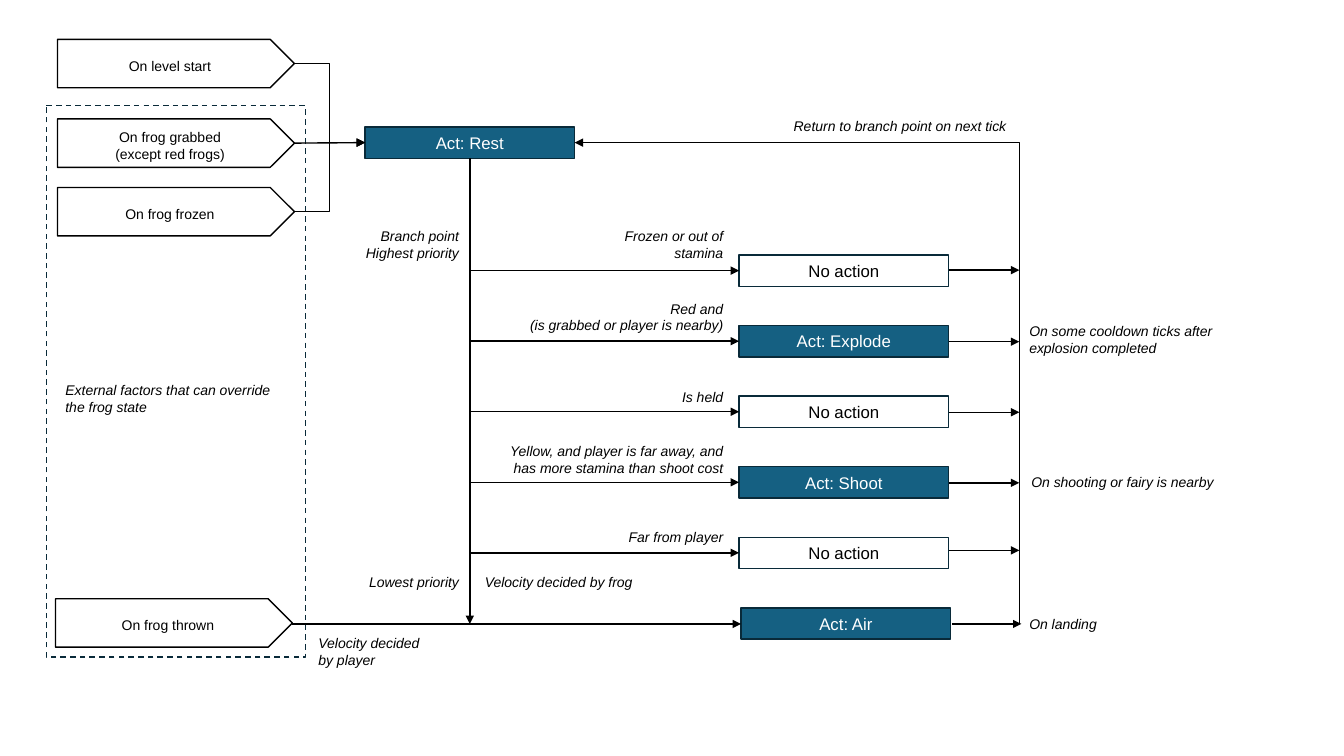
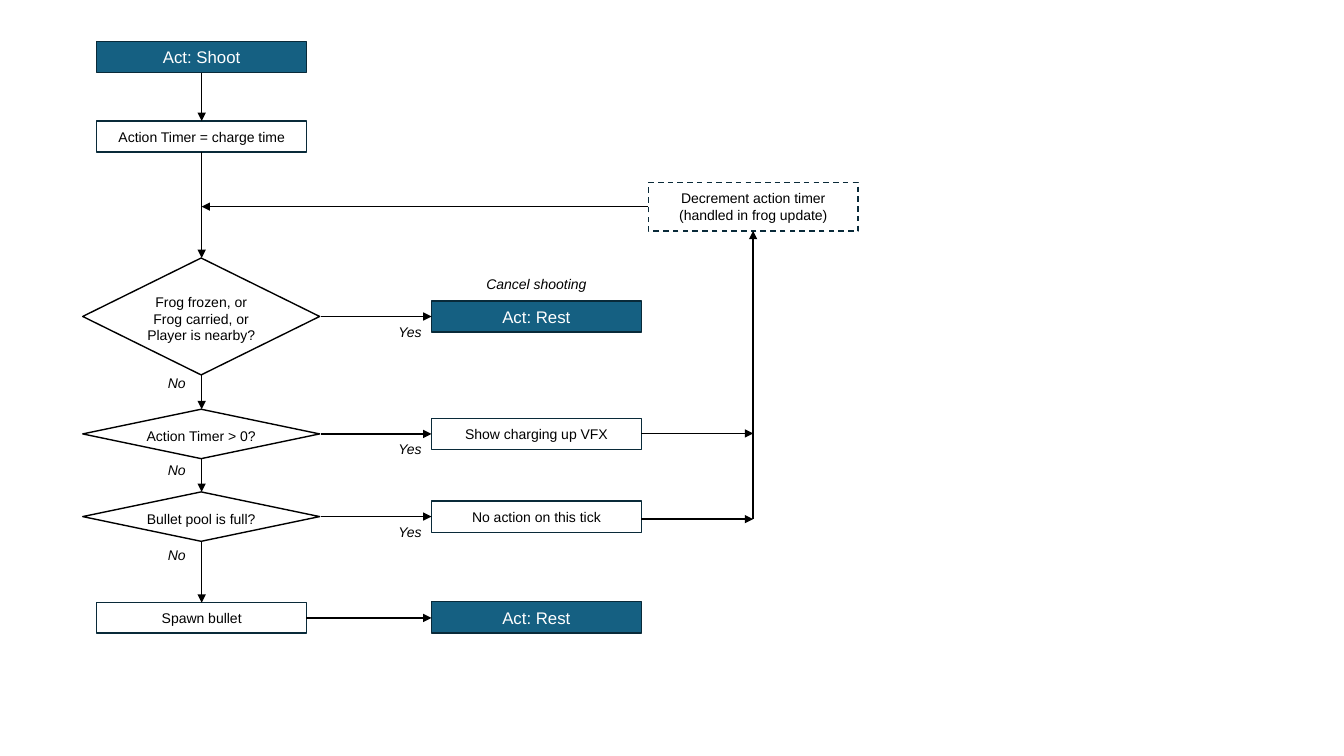
from pptx import Presentation
from pptx.dml.color import RGBColor
from pptx.enum import dml, shapes, text
from pptx.oxml import ns, xmlchemy
from pptx.util import Inches, Pt

COLORS = {"white": "FFFFFF", "black": "000000", "act": "156082", "edge": "092A39"}
FONT = "Arial"
BOX_W, BOX_H = 2.08, 0.31
EVENT_W, EVENT_H = 2.35, 0.48
ONE_LINE, TWO_LINES = 0.27, 0.44

PROCESS = shapes.MSO_SHAPE.FLOWCHART_PROCESS
DECISION = shapes.MSO_SHAPE.FLOWCHART_DECISION
PENTAGON = shapes.MSO_SHAPE.PENTAGON
STRAIGHT, ELBOW = shapes.MSO_CONNECTOR.STRAIGHT, shapes.MSO_CONNECTOR.ELBOW
LEFT, CENTER, RIGHT = text.PP_ALIGN.LEFT, text.PP_ALIGN.CENTER, text.PP_ALIGN.RIGHT
TOP, MIDDLE, BOTTOM = text.MSO_ANCHOR.TOP, text.MSO_ANCHOR.MIDDLE, text.MSO_ANCHOR.BOTTOM
LEFT_SITE, RIGHT_SITE = 1, 3

# Shared looks: preset shape (None is a text box), fill, outline, text
TIGHT = {"margin_left": 0, "margin_right": 0, "margin_top": Inches(0.04), "margin_bottom": 0}
GROW = {"auto_size": text.MSO_AUTO_SIZE.SHAPE_TO_FIT_TEXT}
STYLES = {
    "act": dict(kind=PROCESS, fill="act", edge="edge", size=12, color="white"),
    "idle": dict(kind=PROCESS, fill="white", edge="edge", size=12, color="black"),
    "step": dict(kind=PROCESS, fill="white", edge="edge", size=10, color="black"),
    "dashed": dict(kind=PROCESS, fill="white", edge="edge", size=10, color="black", dash=True),
    "frame": dict(kind=PROCESS, fill=None, edge="edge", size=10, color="black", dash=True),
    "event": dict(kind=PENTAGON, fill="white", edge="black", size=10, color="black", frame=TIGHT),
    "decision": dict(kind=DECISION, fill="white", edge="black", size=10, color="black", frame=TIGHT),
    "label": dict(kind=None, size=10, color="black", frame=GROW),
}


def add_block(slide, style_name, at, words, align=CENTER, anchor=MIDDLE):
    style = STYLES[style_name]
    box = [Inches(value) for value in at]
    if style["kind"] is None:
        shape = slide.shapes.add_textbox(*box)
    else:
        shape = slide.shapes.add_shape(style["kind"], *box)
        shape.shadow.inherit = False
        if style["fill"]:
            shape.fill.solid()
            shape.fill.fore_color.rgb = RGBColor.from_string(COLORS[style["fill"]])
        else:
            shape.fill.background()
        shape.line.color.rgb = RGBColor.from_string(COLORS[style["edge"]])
        shape.line.width = Pt(1)
        if style.get("dash"):
            shape.line.dash_style = dml.MSO_LINE.DASH
    frame = shape.text_frame
    settings = {"word_wrap": True, "vertical_anchor": anchor, **style.get("frame", {})}
    for name, value in settings.items():
        setattr(frame, name, value)
    frame.text = words
    font_format = {"name": FONT, "size": Pt(style["size"]), "italic": style["kind"] is None}
    for paragraph in frame.paragraphs:
        paragraph.alignment = align
        for run in paragraph.runs:
            for name, value in font_format.items():
                setattr(run.font, name, value)
            run.font.color.rgb = RGBColor.from_string(COLORS[style["color"]])
    return shape


def add_arrow(slide, start, end, kind=STRAIGHT, arrowhead="a:tailEnd"):
    points = [Inches(value) for value in (*start, *end)]
    connector = slide.shapes.add_connector(kind, *points)
    connector.line.color.rgb = RGBColor.from_string(COLORS["black"])
    connector.line.width = Pt(1)
    properties = connector.element.spPr
    head = xmlchemy.OxmlElement(arrowhead)
    head.set("type", "triangle")
    properties.find(ns.qn("a:ln")).append(head)
    properties.append(xmlchemy.OxmlElement("a:effectLst"))
    return connector


presentation = Presentation()
presentation.slide_width, presentation.slide_height = Inches(13.33), Inches(7.5)
blank = presentation.slide_layouts[6]

# Slide 1: frog states
slide = presentation.slides.add_slide(blank)
TRUNK_X, RETURN_X = 4.66, 10.11
REST_Y, AIR_Y = 1.42, 6.19
BRANCH_X = 7.33

# Events on the left
add_block(slide, "frame", (0.46, 1.05, 2.57, 5.47), "")
events = [
    add_block(slide, "event", (left, top, EVENT_W, EVENT_H), words)
    for left, top, words in [
        (0.57, 0.39, "On level start"),
        (0.57, 1.18, "On frog grabbed\n(except red frogs)"),
        (0.57, 1.86, "On frog frozen"),
        (0.55, 5.94, "On frog thrown"),
    ]
]
rest = add_block(slide, "act", (3.62, 1.26, BOX_W, BOX_H), "Act: Rest")
for event, kind in zip(events[:3], (ELBOW, STRAIGHT, ELBOW)):
    connector = add_arrow(slide, (2.92, REST_Y), (3.62, REST_Y), kind)
    connector.begin_connect(event, RIGHT_SITE)
    connector.end_connect(rest, LEFT_SITE)

# Branches in order of priority: style, words, height of the exit arrow
branches = [
    ("idle", "No action", 2.68),
    ("act", "Act: Explode", 3.39),
    ("idle", "No action", 4.09),
    ("act", "Act: Shoot", 4.79),
    ("idle", "No action", 5.46),
]
for row, (style_name, words, exit_y) in enumerate(branches):
    top = 2.53 + 0.7 * row
    middle = top + BOX_H / 2
    add_block(slide, style_name, (BRANCH_X, top, BOX_W, BOX_H), words)
    add_arrow(slide, (TRUNK_X, middle), (BRANCH_X, middle))
    add_arrow(slide, (BRANCH_X + BOX_W, exit_y), (RETURN_X, exit_y))

# Air state, trunk and way back
add_block(slide, "act", (7.35, 6.03, BOX_W, BOX_H), "Act: Air")
add_arrow(slide, (2.9, AIR_Y), (7.35, AIR_Y))
add_arrow(slide, (9.44, AIR_Y), (10.13, AIR_Y))
add_arrow(slide, (TRUNK_X, 1.57), (TRUNK_X, AIR_Y))
way_back = add_arrow(slide, (5.7, REST_Y), (RETURN_X, AIR_Y), ELBOW, "a:headEnd")
way_back.begin_connect(rest, RIGHT_SITE)
way_back.element.spPr.find(ns.qn("a:prstGeom")).set("prst", "bentConnector2")

# Conditions and remarks
for left, top, width, height, words, align, anchor in [
    (0.55, 3.74, 2.35, TWO_LINES, "External factors that can override the frog state", LEFT, TOP),
    (2.79, 2.2, 1.86, TWO_LINES, "Branch point\nHighest priority", RIGHT, BOTTOM),
    (5.79, 2.2, 1.48, TWO_LINES, "Frozen or out of stamina", RIGHT, BOTTOM),
    (4.99, 2.92, 2.28, TWO_LINES, "Red and\n(is grabbed or player is nearby)", RIGHT, BOTTOM),
    (5.79, 3.8, 1.48, ONE_LINE, "Is held", RIGHT, BOTTOM),
    (4.91, 4.33, 2.36, TWO_LINES,
     "Yellow, and player is far away, and has more stamina than shoot cost", RIGHT, BOTTOM),
    (5.79, 5.19, 1.48, ONE_LINE, "Far from player", RIGHT, BOTTOM),
    (2.79, 5.64, 1.86, ONE_LINE, "Lowest priority", RIGHT, BOTTOM),
    (4.71, 5.64, 1.75, ONE_LINE, "Velocity decided by frog", LEFT, BOTTOM),
    (3.06, 6.24, 1.23, TWO_LINES, "Velocity decided by player", LEFT, BOTTOM),
    (7.6, 1.11, 2.65, ONE_LINE, "Return to branch point on next tick", CENTER, BOTTOM),
    (10.11, 3.15, 2.28, TWO_LINES, "On some cooldown ticks after explosion completed", LEFT, MIDDLE),
    (10.13, 4.65, 2.28, ONE_LINE, "On shooting or fairy is nearby", LEFT, MIDDLE),
    (10.11, 6.05, 2.28, ONE_LINE, "On landing", LEFT, MIDDLE),
]:
    add_block(slide, "label", (left, top, width, height), words, align, anchor)

# Slide 2: shooting
slide = presentation.slides.add_slide(blank)
FLOW_X, OUTCOME_X, LOOP_X = 2.0, 4.28, 7.47

# Steps in the main column
for style_name, top, height, words in [
    ("act", 0.41, BOX_H, "Act: Shoot"),
    ("step", 1.2, BOX_H, "Action Timer = charge time"),
    ("step", 5.98, 0.3, "Spawn bullet"),
]:
    add_block(slide, style_name, (0.96, top, BOX_W, height), words)
for start_y, end_y in [(0.72, 1.2), (1.51, 2.56)]:
    add_arrow(slide, (FLOW_X, start_y), (FLOW_X, end_y))

# Decisions: top, height, question, outcome style, outcome, top of "No", next top
for top, height, question, style_name, outcome, no_top, next_top in [
    (2.56, 1.16, "Frog frozen, or\nFrog carried, or\nPlayer is nearby?", "act", "Act: Rest", 3.67, 4.06),
    (4.06, 0.49, "Action Timer > 0?", "step", "Show charging up VFX", 4.53, 4.88),
    (4.88, 0.49, "Bullet pool is full?", "step", "No action on this tick", 5.37, 5.98),
]:
    middle = top + height / 2
    add_block(slide, "decision", (0.82, top, EVENT_W, height), question)
    add_block(slide, style_name, (OUTCOME_X, middle - BOX_H / 2, BOX_W, BOX_H), outcome)
    add_arrow(slide, (3.18, middle), (OUTCOME_X, middle))
    add_arrow(slide, (FLOW_X, top + height), (FLOW_X, next_top))
    add_block(slide, "label", (2.42, middle + 0.02, 1.86, ONE_LINE), "Yes", RIGHT, TOP)
    add_block(slide, "label", (0.08, no_top, 1.86, ONE_LINE), "No", RIGHT, TOP)

# End of shooting
add_block(slide, "label", (4.39, 2.68, 1.86, ONE_LINE), "Cancel shooting", CENTER, TOP)
add_block(slide, "act", (OUTCOME_X, 5.97, BOX_W, BOX_H), "Act: Rest")
add_arrow(slide, (3.04, 6.13), (OUTCOME_X, 6.13))

# Loop through the timer
add_block(slide, "dashed", (6.43, 1.81, BOX_W, 0.48), "Decrement action timer\n(handled in frog update)")
for exit_y in (4.3, 5.15):
    add_arrow(slide, (OUTCOME_X + BOX_W, exit_y), (LOOP_X, exit_y))
add_arrow(slide, (LOOP_X, 5.15), (LOOP_X, 2.29))
add_arrow(slide, (6.43, 2.05), (FLOW_X, 2.05))

presentation.save("out.pptx")
